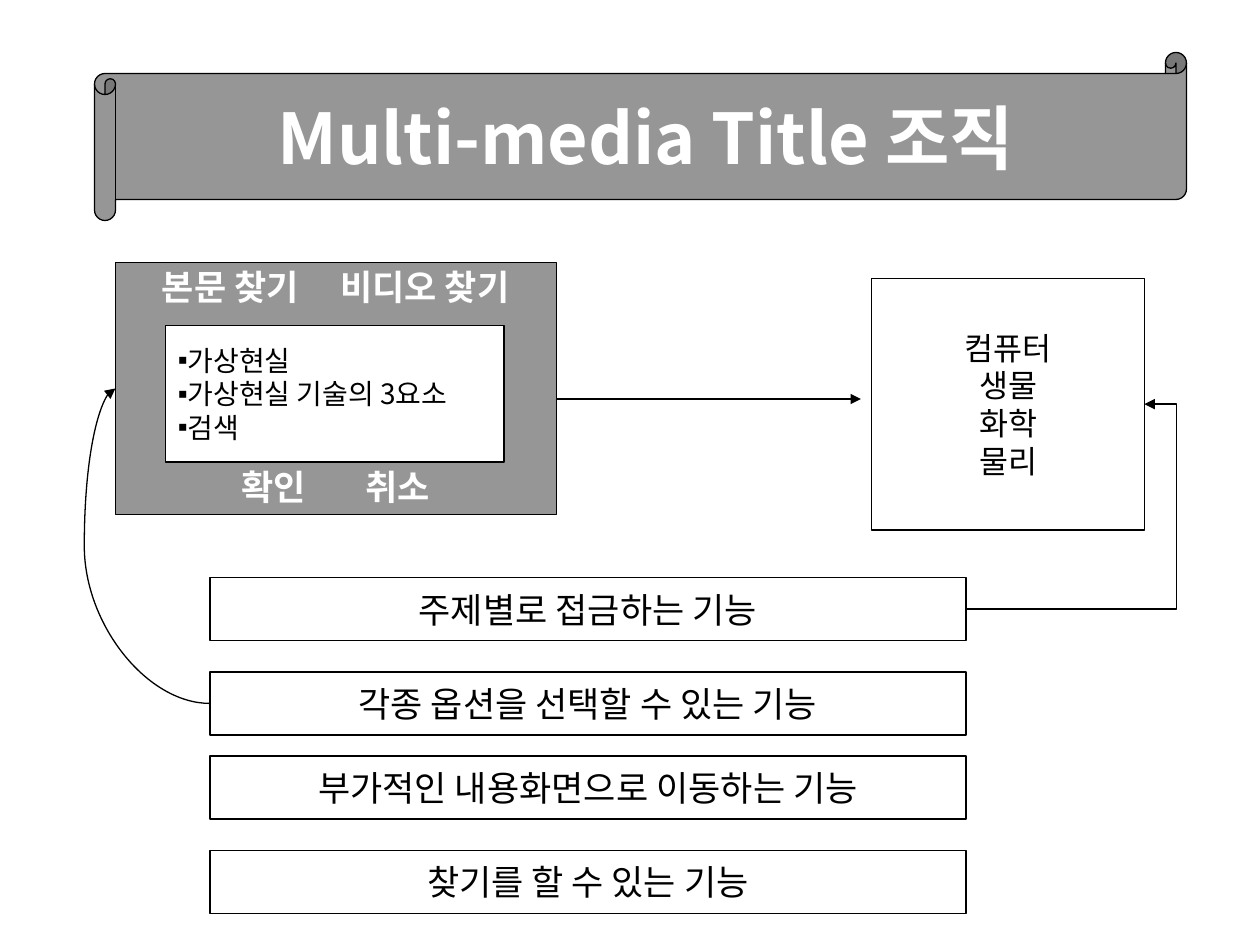
from dataclasses import dataclass

from lxml.etree import SubElement
from pptx import Presentation
from pptx.dml.color import RGBColor
from pptx.enum.shapes import MSO_CONNECTOR, MSO_SHAPE
from pptx.enum.text import MSO_ANCHOR, MSO_AUTO_SIZE, PP_ALIGN
from pptx.oxml.ns import qn
from pptx.util import Pt

BLACK = RGBColor(0x00, 0x00, 0x00)
WHITE = RGBColor(0xFF, 0xFF, 0xFF)
GRAY = RGBColor(0x96, 0x96, 0x96)
FONT_NAME = "Noto Sans CJK KR"


@dataclass(frozen=True)
class Box:
    left: float
    top: float
    width: float
    height: float

    def lengths(self) -> tuple:
        return Pt(self.left), Pt(self.top), Pt(self.width), Pt(self.height)


@dataclass(frozen=True)
class Panel:
    box: Box
    lines: tuple = ()
    size: float = 20
    fill: RGBColor = WHITE
    preset: MSO_SHAPE = MSO_SHAPE.RECTANGLE


@dataclass(frozen=True)
class Arrow:
    kind: MSO_CONNECTOR
    start: tuple
    end: tuple
    bend: float = 0


SEARCH_BOX = Box(66, 150, 252, 144)
SEARCH_LABELS = (
    (("본문 찾기", 26.5), ("비디오 찾기", 128.5)),
    (("확인", 72), ("취소", 143)),
)
FEATURES = (
    ("주제별로 접금하는 기능", 330),
    ("각종 옵션을 선택할 수 있는 기능", 384),
    ("부가적인 내용화면으로 이동하는 기능", 432),
    ("찾기를 할 수 있는 기능", 486),
)
PANELS = (
    Panel(Box(498, 159, 156, 144), ("컴퓨터", "생물", "화학", "물리"), 18),
    *(Panel(Box(120, top, 432, 36), (text,)) for text, top in FEATURES),
    Panel(Box(54, 30, 624, 96), fill=GRAY, preset=MSO_SHAPE.HORIZONTAL_SCROLL),
)
ARROWS = (
    Arrow(MSO_CONNECTOR.STRAIGHT, (318, 228), (492, 228)),
    Arrow(MSO_CONNECTOR.ELBOW, (552, 348), (654, 231), 1.18),
    Arrow(MSO_CONNECTOR.CURVE, (120, 402), (66, 222), 1.33),
)


def place(shape, box: Box) -> None:
    """Move and resize a shape."""
    shape.left, shape.top, shape.width, shape.height = box.lengths()


def outline(shape, fill: RGBColor) -> None:
    """Give a shape a solid fill and a thin black border."""
    shape.fill.solid()
    shape.fill.fore_color.rgb = fill
    shape.line.color.rgb = BLACK
    shape.line.width = Pt(0.75)


def write(shape, lines: tuple, size: float, color: RGBColor, bold: bool = False,
          alignment: PP_ALIGN = PP_ALIGN.CENTER) -> None:
    """Write one paragraph per line in the slide font."""
    frame = shape.text_frame
    frame.text = "\n".join(lines)
    frame.auto_size = MSO_AUTO_SIZE.NONE
    frame.word_wrap = alignment != PP_ALIGN.CENTER
    frame.vertical_anchor = MSO_ANCHOR.MIDDLE
    for paragraph in frame.paragraphs:
        paragraph.alignment = alignment
        paragraph.space_before = Pt(0)
        paragraph.font.name = FONT_NAME
        paragraph.font.size = Pt(size)
        paragraph.font.bold = bold
        paragraph.font.color.rgb = color
    for properties in shape.element.iter(qn("a:defRPr")):
        SubElement(properties, qn("a:ea"), typeface=FONT_NAME)


def add_panel(slide, panel: Panel):
    """Add a bordered shape with its centred text."""
    shape = slide.shapes.add_shape(panel.preset, *panel.box.lengths())
    shape.shadow.inherit = False
    outline(shape, panel.fill)
    if panel.lines:
        write(shape, panel.lines, panel.size, BLACK)
    return shape


def add_search_panel(slide) -> None:
    """Add the search dialog with its tabbed labels."""
    shape = add_panel(slide, Panel(SEARCH_BOX, fill=GRAY))
    lines = tuple("".join(f"\t{text}" for text, _ in row) for row in SEARCH_LABELS)
    write(shape, lines, 20, WHITE, True, PP_ALIGN.LEFT)
    frame = shape.text_frame
    frame.vertical_anchor = MSO_ANCHOR.TOP
    frame.margin_left = frame.margin_right = Pt(0)
    for paragraph in frame.paragraphs:
        paragraph.line_spacing = 0.95
    frame.paragraphs[1].space_before = Pt(91.5)
    for properties, row in zip(shape.element.iter(qn("a:pPr")), SEARCH_LABELS):
        tabs = SubElement(properties, qn("a:tabLst"))
        properties.find(qn("a:defRPr")).addprevious(tabs)
        for _, position in row:
            SubElement(tabs, qn("a:tab"), pos=str(Pt(position)), algn="l")


def add_arrow(slide, arrow: Arrow) -> None:
    """Add a connector that ends in a triangle."""
    connector = slide.shapes.add_connector(
        arrow.kind, *(Pt(value) for value in arrow.start + arrow.end))
    connector.line.color.rgb = BLACK
    connector.line.width = Pt(0.75)
    properties = connector.element.find(qn("p:spPr"))
    SubElement(properties.find(qn("a:ln")), qn("a:tailEnd"), type="triangle")
    SubElement(properties, qn("a:effectLst"))
    if arrow.bend:
        guides = next(properties.iter(qn("a:avLst")))
        SubElement(guides, qn("a:gd"), name="adj1",
                   fmla=f"val {round(arrow.bend * 100000)}")


def fill_title(slide) -> None:
    """Set the title on the scroll banner."""
    title = slide.shapes.title
    place(title, Box(66, 42, 606, 72))
    write(title, ("Multi-media Title 조직",), 40, WHITE, True)
    slide.shapes.element.append(title.element)


def fill_list(slide) -> None:
    """Set the bulleted list inside the search dialog."""
    body = slide.placeholders[1]
    place(body, Box(94.5, 186, 193.5, 78))
    outline(body, WHITE)
    write(body, ("가상현실", "가상현실 기술의 3요소", "검색"), 16, BLACK,
          alignment=PP_ALIGN.LEFT)
    for properties in body.element.iter(qn("a:pPr")):
        properties.set("marL", "0")
        properties.set("indent", "0")
        bullet = SubElement(properties, qn("a:buChar"), char="▪")
        properties.find(qn("a:defRPr")).addprevious(bullet)
    slide.shapes.element.append(body.element)


def main() -> None:
    """Build the slide and save it."""
    presentation = Presentation()
    presentation.slide_width, presentation.slide_height = Pt(720), Pt(540)
    slide = presentation.slides.add_slide(presentation.slide_layouts[1])
    for panel in PANELS:
        add_panel(slide, panel)
    fill_title(slide)
    add_search_panel(slide)
    fill_list(slide)
    for arrow in ARROWS:
        add_arrow(slide, arrow)
    presentation.save("out.pptx")


main()
